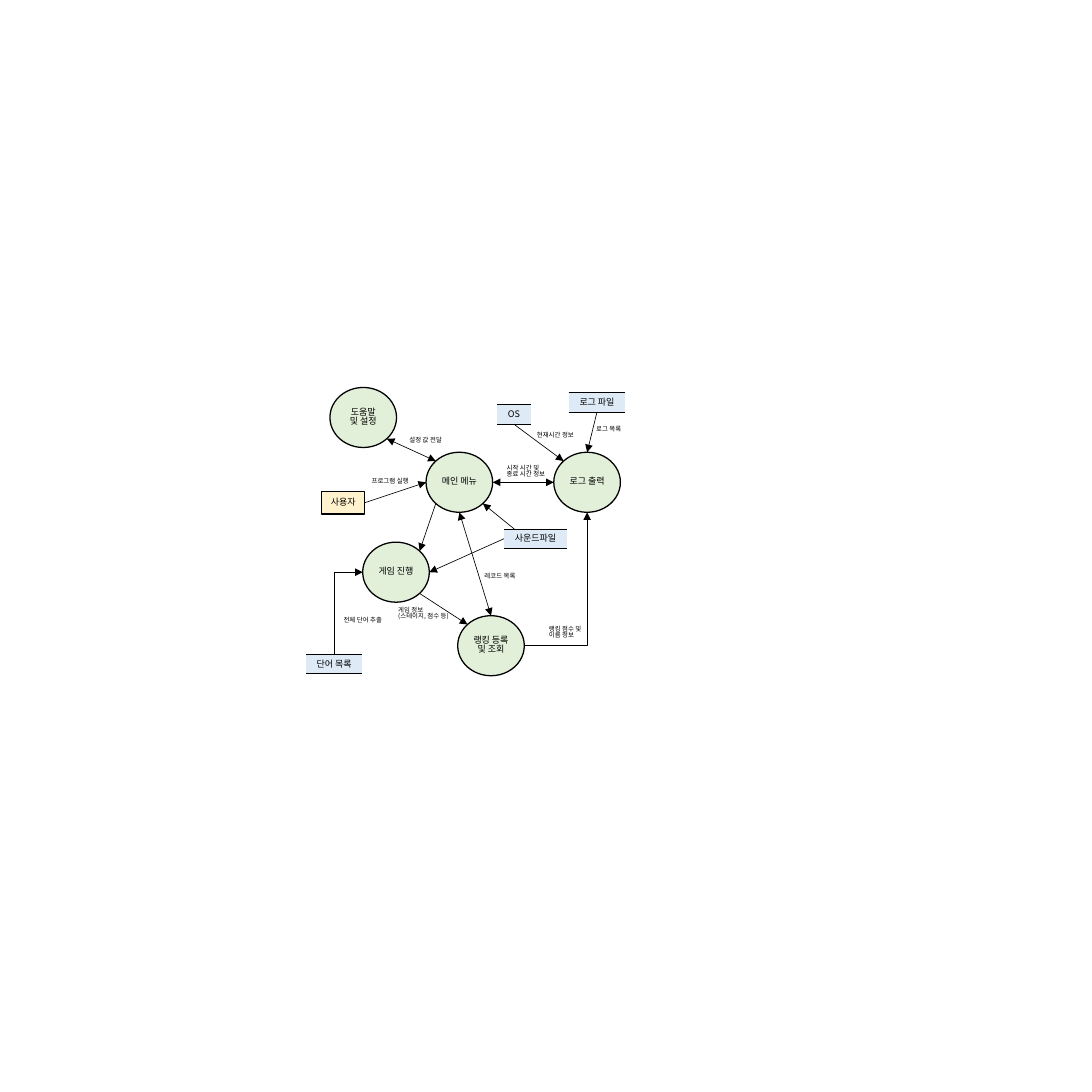
from dataclasses import dataclass
from math import hypot

from lxml import etree
from pptx import Presentation
from pptx.dml.color import RGBColor
from pptx.enum.shapes import MSO_CONNECTOR, MSO_SHAPE
from pptx.enum.text import MSO_ANCHOR, PP_ALIGN
from pptx.oxml.ns import qn
from pptx.util import Cm, Pt

OVAL, RECTANGLE = MSO_SHAPE.OVAL, MSO_SHAPE.RECTANGLE
STRAIGHT, ELBOW = MSO_CONNECTOR.STRAIGHT, MSO_CONNECTOR.ELBOW
CENTER, LEFT = PP_ALIGN.CENTER, PP_ALIGN.LEFT
MIDDLE, TOP = MSO_ANCHOR.MIDDLE, MSO_ANCHOR.TOP

FONT = "Noto Sans CJK KR"
LINE_SPACING = 0.83
COLORS = {
    "ink": "000000",
    "process": "E2F0D9",
    "entity": "FFF2CC",
    "store": "DEEBF7",
}


@dataclass
class Node:
    """A diagram node: text, centre and size in centimetres, and kind."""
    text: str
    x: float
    y: float
    width: float = 1.83
    height: float = 1.65
    kind: str = "process"

    @property
    def box(self):
        return (Cm(self.x - self.width / 2), Cm(self.y - self.height / 2),
                Cm(self.width), Cm(self.height))

    def port(self, across, down):
        """Return the edge point in a direction; -1 to 1 spans the node."""
        scale = hypot(across, down) if self.kind == "process" else 1
        return (Cm(self.x + across / scale * self.width / 2),
                Cm(self.y + down / scale * self.height / 2))


def color(name):
    return RGBColor.from_string(COLORS[name])


def write_text(frame, text, size=7, align=CENTER, anchor=MIDDLE,
               margins=(0.13, 0.05)):
    """Fill a text frame or a table cell; margins are (sides, top and bottom)."""
    frame.margin_left = frame.margin_right = Cm(margins[0])
    frame.margin_top = frame.margin_bottom = Cm(margins[1])
    frame.vertical_anchor = anchor
    text_frame = getattr(frame, "text_frame", frame)
    text_frame.word_wrap = True
    text_frame.text = text
    for paragraph in text_frame.paragraphs:
        paragraph.alignment = align
        paragraph.line_spacing = LINE_SPACING
        for run in paragraph.runs:
            run.font.size = Pt(size)
            run.font.name = FONT
            run.font.color.rgb = color("ink")
            east_asian = etree.SubElement(run.font._element, qn("a:ea"))
            east_asian.set("typeface", FONT)


def add_node(slide, node):
    preset = OVAL if node.kind == "process" else RECTANGLE
    shape = slide.shapes.add_shape(preset, *node.box)
    shape.shadow.inherit = False
    shape.fill.solid()
    shape.fill.fore_color.rgb = color(node.kind)
    shape.line.color.rgb = color("ink")
    shape.line.width = Pt(1)
    write_text(shape.text_frame, node.text)


def set_border(cell, side, visible):
    border = etree.SubElement(cell._tc.get_or_add_tcPr(), qn(f"a:ln{side}"))
    if not visible:
        etree.SubElement(border, qn("a:noFill"))
        return
    border.set("w", str(Pt(1)))
    fill = etree.SubElement(border, qn("a:solidFill"))
    etree.SubElement(fill, qn("a:srgbClr")).set("val", COLORS["ink"])


def add_store(slide, node):
    """Draw a data store as a one-cell table ruled above and below."""
    table = slide.shapes.add_table(1, 1, *node.box).table
    table.first_row = table.horz_banding = False
    cell = table.cell(0, 0)
    write_text(cell, node.text, anchor=TOP, margins=(0.23, 0.11))
    for side in "LRTB":
        set_border(cell, side, visible=side in "TB")
    cell.fill.solid()
    cell.fill.fore_color.rgb = color(node.kind)


def add_flow(slide, start, end, kind=STRAIGHT, arrows=("tailEnd",)):
    connector = slide.shapes.add_connector(kind, *start, *end)
    connector.line.color.rgb = color("ink")
    connector.line.width = Pt(0.5)
    line = connector.line._get_or_add_ln()
    for arrow in arrows:
        etree.SubElement(line, qn(f"a:{arrow}")).set("type", "triangle")
    properties = connector._element.spPr
    etree.SubElement(properties, qn("a:effectLst"))
    if kind == ELBOW:
        properties.find(qn("a:prstGeom")).set("prst", "bentConnector2")


def add_label(slide, text, left, top, width):
    height = 0.23 + 0.23 * len(text.split("\n"))
    label = slide.shapes.add_textbox(Cm(left), Cm(top), Cm(width), Cm(height))
    write_text(label.text_frame, text, size=5, align=LEFT, anchor=TOP,
               margins=(0.25, 0.13))


def main():
    presentation = Presentation()
    presentation.slide_width = presentation.slide_height = Cm(30)
    slide = presentation.slides.add_slide(presentation.slide_layouts[6])

    user = Node("사용자", 9.43, 13.81, 1.18, 0.62, "entity")
    menu = Node("메인 메뉴", 12.62, 13.25)
    game = Node("게임 진행", 10.88, 15.72)
    ranking = Node("랭킹 등록\n및 조회", 13.49, 17.74)
    log = Node("로그 출력", 16.13, 13.25)
    settings = Node("도움말\n및 설정", 9.98, 11.47)
    words = Node("단어 목록", 9.18, 18.25, 1.55, 0.53, "store")
    sounds = Node("사운드파일", 14.71, 14.8, 1.73, 0.53, "store")
    system = Node("OS", 14.12, 11.39, 0.91, 0.53, "store")
    log_file = Node("로그 파일", 16.4, 11.06, 1.55, 0.53, "store")

    for node in (user, menu, game, ranking, log, settings):
        add_node(slide, node)

    for start, end in (
        (user.port(1, 0), menu.port(-1, 0)),
        (menu.port(-1, 1), game.port(1, -1)),
        (sounds.port(-0.67, -1), menu.port(1, 1)),
        (sounds.port(-1, 0), game.port(1, 0)),
        (game.port(1, 1), ranking.port(-1, -1)),
        (log_file.port(0, 1), log.port(0, -1)),
        (system.port(0, 1), log.port(-1, -1)),
    ):
        add_flow(slide, start, end)

    for start, end in (
        (menu.port(0, 1), ranking.port(0, -1)),
        (menu.port(1, 0), log.port(-1, 0)),
        (settings.port(1, 1), menu.port(-1, -1)),
    ):
        add_flow(slide, start, end, arrows=("headEnd", "tailEnd"))

    add_flow(slide, game.port(-1, 0), words.port(0, -1), ELBOW, ("headEnd",))
    add_flow(slide, ranking.port(1, 0), log.port(0, 1), ELBOW)

    for text, left, top, width in (
        ("프로그램 실행", 9.96, 13.06, 1.57),
        ("전체 단어 추출", 9.19, 16.87, 1.63),
        ("게임 정보\n(스테이지, 점수 등)", 10.69, 16.56, 1.98),
        ("레코드 목록", 13.06, 15.67, 1.4),
        ("로그 목록", 16.13, 11.63, 1.24),
        ("시작 시간 및\n종료 시간 정보", 13.67, 12.65, 1.63),
        ("랭킹 점수 및\n이름 정보", 14.83, 17.07, 1.45),
        ("현재시간 정보", 14.5, 11.79, 1.57),
        ("설정 값 전달", 11, 11.94, 1.45),
    ):
        add_label(slide, text, left, top, width)

    for node in (words, sounds, system, log_file):
        add_store(slide, node)

    presentation.save("out.pptx")


if __name__ == "__main__":
    main()
